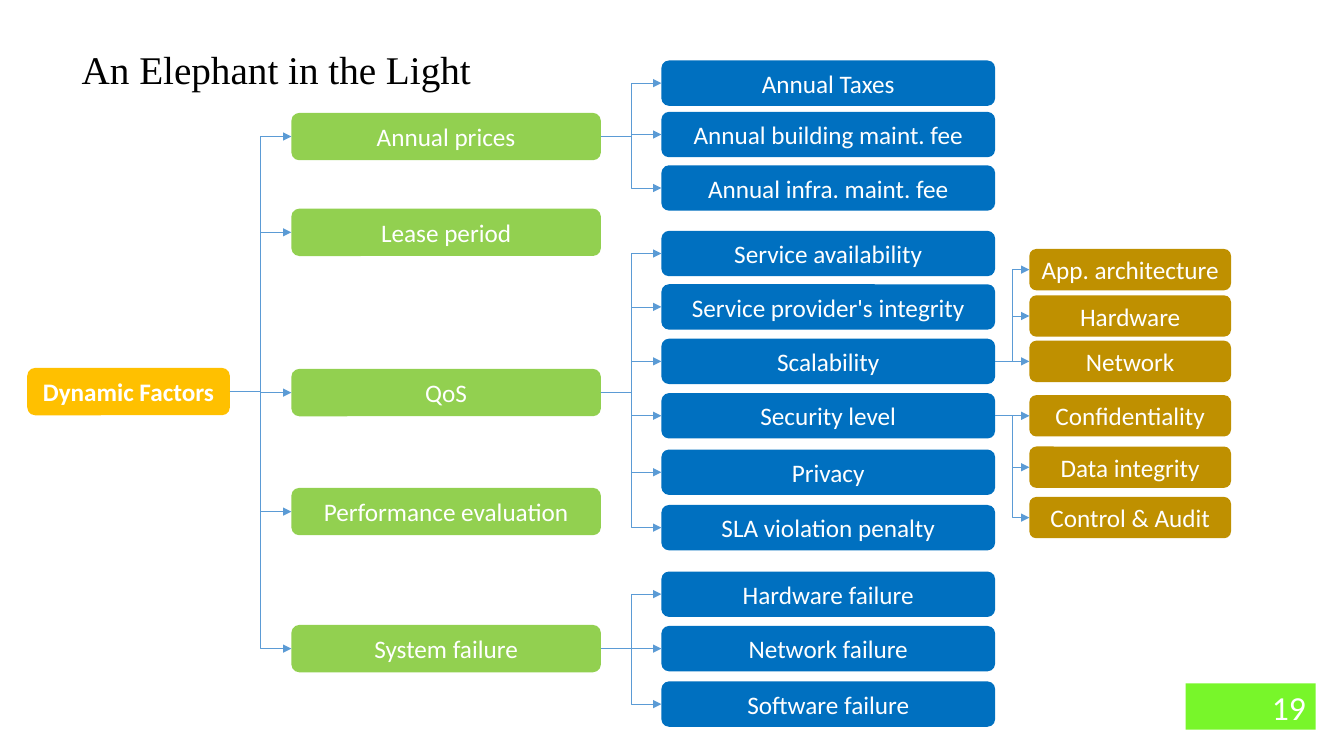
from dataclasses import dataclass

from lxml import etree
from pptx import Presentation
from pptx.dml.color import RGBColor
from pptx.enum.shapes import MSO_CONNECTOR, MSO_SHAPE
from pptx.enum.text import MSO_ANCHOR, PP_ALIGN
from pptx.oxml.ns import qn
from pptx.shapes.autoshape import Shape
from pptx.slide import Slide
from pptx.text.text import TextFrame
from pptx.util import Inches, Pt

ELBOW = MSO_CONNECTOR.ELBOW
RECT, ROUNDED = MSO_SHAPE.RECTANGLE, MSO_SHAPE.ROUNDED_RECTANGLE
MIDDLE = MSO_ANCHOR.MIDDLE
LEFT, CENTER, RIGHT = PP_ALIGN.LEFT, PP_ALIGN.CENTER, PP_ALIGN.RIGHT
LEFT_SITE, RIGHT_SITE = 1, 3

COLORS = {
    "root": "FFC000",
    "factor": "92D050",
    "measure": "0070C0",
    "detail": "BF9000",
    "link": "5B9BD5",
    "badge": "78F62A",
    "white": "FFFFFF",
    "black": "000000",
}


@dataclass(frozen=True)
class Level:
    left: float
    width: float
    height: float
    color: str
    bold: bool = False


@dataclass(frozen=True)
class Node:
    label: str
    top: float
    children: tuple["Node", ...] = ()


LEVELS = (
    Level(0.27, 2.01, 0.47, "root", bold=True),
    Level(2.89, 3.07, 0.47, "factor"),
    Level(6.56, 3.31, 0.45, "measure"),
    Level(10.21, 2.0, 0.41, "detail"),
)

TREE = Node("Dynamic Factors", 3.65, (
    Node("Annual prices", 1.12, (
        Node("Annual Taxes", 0.6),
        Node("Annual building maint. fee", 1.11),
        Node("Annual infra. maint. fee", 1.64),
    )),
    Node("Lease period", 2.07),
    Node("QoS", 3.66, (
        Node("Service availability", 2.29),
        Node("Service provider's integrity", 2.82),
        Node("Scalability", 3.36, (
            Node("App. architecture", 2.47),
            Node("Hardware", 2.93),
            Node("Network", 3.38),
        )),
        Node("Security level", 3.9, (
            Node("Confidentiality", 3.92),
            Node("Data integrity", 4.43),
            Node("Control & Audit", 4.93),
        )),
        Node("Privacy", 4.46),
        Node("SLA violation penalty", 5.01),
    )),
    Node("Performance evaluation", 4.84),
    Node("System failure", 6.2, (
        Node("Hardware failure", 5.67),
        Node("Network failure", 6.21),
        Node("Software failure", 6.76),
    )),
))


def rgb(name: str) -> RGBColor:
    return RGBColor.from_string(COLORS[name])


def set_text(tf: TextFrame, text: str, size: float, color: str, align: PP_ALIGN,
             font: str = "Calibri", bold: bool = False) -> None:
    tf.text = text
    tf.word_wrap = True
    tf.vertical_anchor = MIDDLE
    p = tf.paragraphs[0]
    p.alignment = align
    f = p.runs[0].font
    f.name, f.size, f.bold = font, Pt(size), bold
    f.color.rgb = rgb(color)


def add_box(s: Slide, kind: MSO_SHAPE, left: float, top: float, width: float,
            height: float, color: str) -> Shape:
    sp = s.shapes.add_shape(kind, Inches(left), Inches(top), Inches(width), Inches(height))
    sp.shadow.inherit = False
    sp.fill.solid()
    sp.fill.fore_color.rgb = rgb(color)
    sp.line.fill.background()
    return sp


def link(s: Slide, parent: Shape, child: Shape) -> None:
    """Join the parent's right side to the child's left side with an elbow arrow."""
    c = s.shapes.add_connector(ELBOW, 0, 0, 0, 0)
    c.begin_connect(parent, RIGHT_SITE)
    c.end_connect(child, LEFT_SITE)
    c.line.width = Pt(0.5)
    c.line.color.rgb = rgb("link")
    etree.SubElement(c.line._get_or_add_ln(), qn("a:tailEnd"), type="triangle")
    etree.SubElement(c._element.spPr, qn("a:effectLst"))


def draw_tree(s: Slide, node: Node, depth: int = 0) -> Shape:
    level = LEVELS[depth]
    sp = add_box(s, ROUNDED, level.left, node.top, level.width, level.height, level.color)
    set_text(sp.text_frame, node.label, 18, "white", CENTER, bold=level.bold)
    for child in node.children:
        link(s, sp, draw_tree(s, child, depth + 1))
    return sp


def main() -> None:
    prs = Presentation()
    prs.slide_width, prs.slide_height = Inches(13.33), Inches(7.5)
    s = prs.slides.add_slide(prs.slide_layouts[5])

    title = s.shapes.title
    title.left, title.top = Inches(0.71), Inches(0.4)
    title.width, title.height = Inches(12.34), Inches(0.57)
    set_text(title.text_frame, "An Elephant in the Light", 28, "black", LEFT,
             font="Times New Roman")

    badge = add_box(s, RECT, 11.76, 6.78, 1.29, 0.46, "badge")
    set_text(badge.text_frame, "19", 24, "white", RIGHT)

    draw_tree(s, TREE)
    prs.save("out.pptx")


if __name__ == "__main__":
    main()
